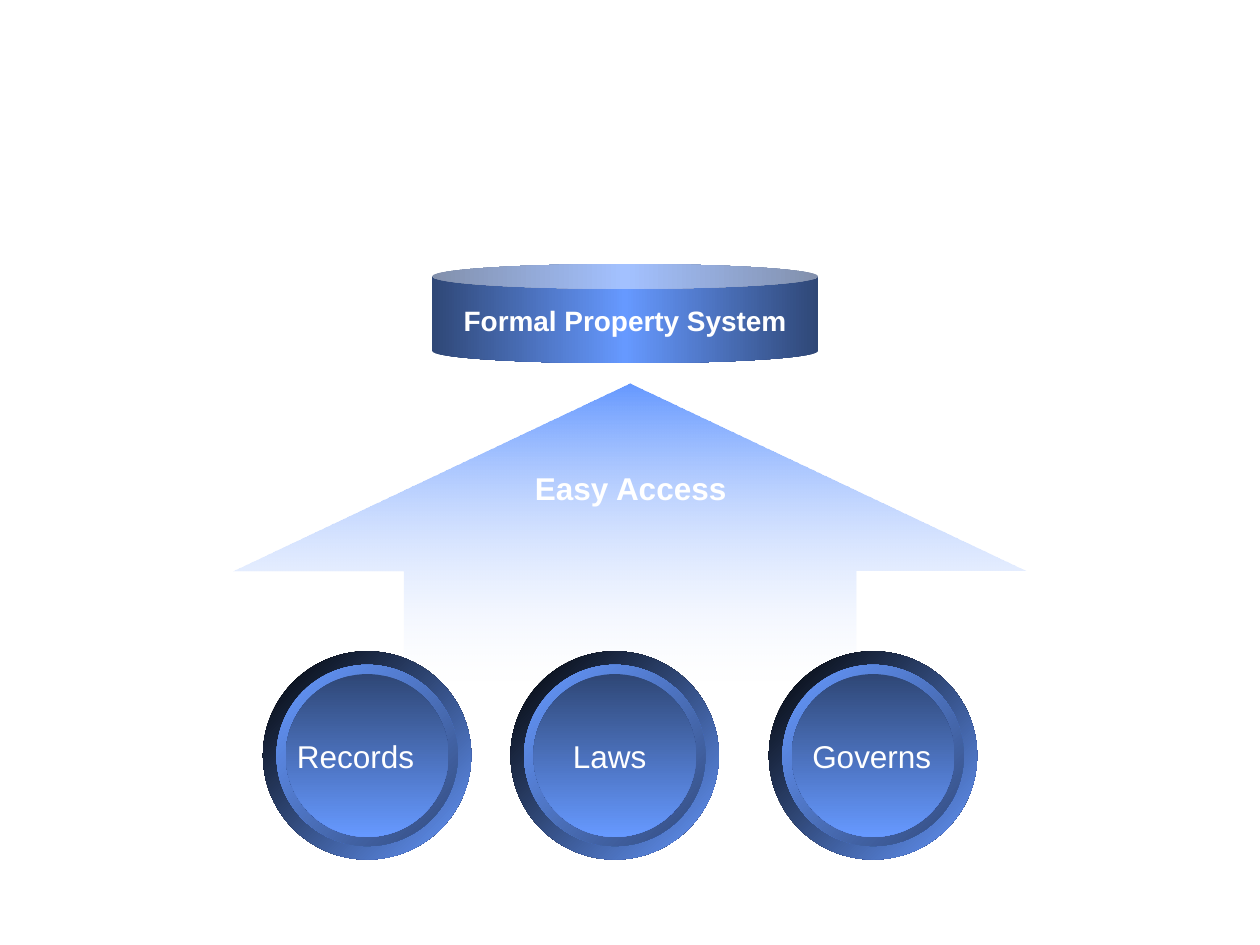
from lxml import etree
from pptx import Presentation
from pptx.dml.color import RGBColor
from pptx.enum.shapes import MSO_SHAPE
from pptx.enum.text import MSO_ANCHOR, MSO_AUTO_SIZE, PP_ALIGN
from pptx.oxml.ns import qn
from pptx.util import Pt

ARROW, BALL, CAN = MSO_SHAPE.UP_ARROW, MSO_SHAPE.OVAL, MSO_SHAPE.CAN
LEFT, MID, RIGHT = PP_ALIGN.LEFT, PP_ALIGN.CENTER, PP_ALIGN.RIGHT
MIDDLE = MSO_ANCHOR.MIDDLE
GROW = MSO_AUTO_SIZE.SHAPE_TO_FIT_TEXT
HEX = {"blue": "6699FF", "pale": "E8EFFF", "navy": "2F4776",
       "dusk": "324A7C", "black": "000000", "white": "FFFFFF"}
FONT = "Arial"


def shade(shape, names, angle, clear=False):
    """Fill a shape with evenly spaced colours, the last one clear if asked."""
    shape.fill.background()
    old = shape._element.spPr.find(qn("a:noFill"))
    grad = etree.Element(qn("a:gradFill"), rotWithShape="1")
    stops = etree.SubElement(grad, qn("a:gsLst"))
    for i, name in enumerate(names):
        stop = etree.SubElement(stops, qn("a:gs"),
                                pos=str(100000 * i // (len(names) - 1)))
        tint = etree.SubElement(stop, qn("a:srgbClr"), val=HEX[name])
    if clear:
        etree.SubElement(tint, qn("a:alpha"), val="0")
    etree.SubElement(grad, qn("a:lin"), ang=str(angle * 60000), scaled="0")
    old.getparent().replace(old, grad)


def draw(shapes, kind, box, names, angle, clear=False):
    """Add a shaded shape without line or shadow."""
    shape = shapes.add_shape(kind, *map(Pt, box))
    shape.shadow.inherit = False
    shape.line.fill.background()
    shade(shape, names, angle, clear)
    return shape


def write(shape, text, size, align, bold=False):
    """Put one line of white text in a shape."""
    frame = shape.text_frame
    frame.word_wrap = False
    frame.text = text
    line = frame.paragraphs[0]
    line.alignment = align
    font = line.runs[0].font
    font.name, font.size, font.bold = FONT, Pt(size), bold
    font.color.rgb = RGBColor.from_string(HEX["white"])


def label(shapes, box, text, align, bold=False):
    """Add a text box that grows with its line."""
    note = shapes.add_textbox(*map(Pt, box))
    write(note, text, 18, align, bold)
    note.text_frame.auto_size = GROW


def add_can(shapes, box):
    """Draw the property system drum."""
    can = draw(shapes, CAN, box, ("navy", "blue", "navy"), 0)
    can.adjustments[0] = 0.25
    can.text_frame.vertical_anchor = MIDDLE
    write(can, "Formal Property System", 16, MID, True)


def add_arrow(shapes, box):
    """Draw the fading arrow and its caption."""
    x, y, w, h = box
    arrow = draw(shapes, ARROW, box, ("blue", "pale"), 90, True)
    arrow.adjustments[0], arrow.adjustments[1] = 0.57, 0.63
    label(shapes, (x + 164.4, y + 45, 124.6, 29), "Easy Access", RIGHT, True)


def add_ball(shapes, box, text, shift, wide, align):
    """Draw a ringed ball with its label."""
    x, y, w, h = box
    rings = ((0, "black", "blue", 45), (7.7, "blue", "dusk", 45),
             (13, "navy", "blue", 90))
    group = shapes.add_group_shape()
    for gap, start, end, angle in rings:
        ring = (x + gap, y + gap, w - 2 * gap, h - 2 * gap)
        draw(group.shapes, BALL, ring, (start, end), angle)
    label(shapes, (x + shift, y + 45.4, wide, 29), text, align)


def main():
    """Build the slide and save it."""
    deck = Presentation()
    deck.slide_width, deck.slide_height = Pt(720), Pt(540)
    shapes = deck.slides.add_slide(deck.slide_layouts[6]).shapes
    add_arrow(shapes, (133.2, 219.3, 453.6, 169.5))
    balls = ((150.3, "Records", 11.5, 82, RIGHT),
             (291.8, "Laws", 28.5, 57, LEFT),
             (439.4, "Governs", 15.9, 84, RIGHT))
    for x, *rest in balls:
        add_ball(shapes, (x, 372.2, 119, 119), *rest)
    add_can(shapes, (246.8, 150.9, 220.8, 56.7))
    deck.save("out.pptx")


if __name__ == "__main__":
    main()
